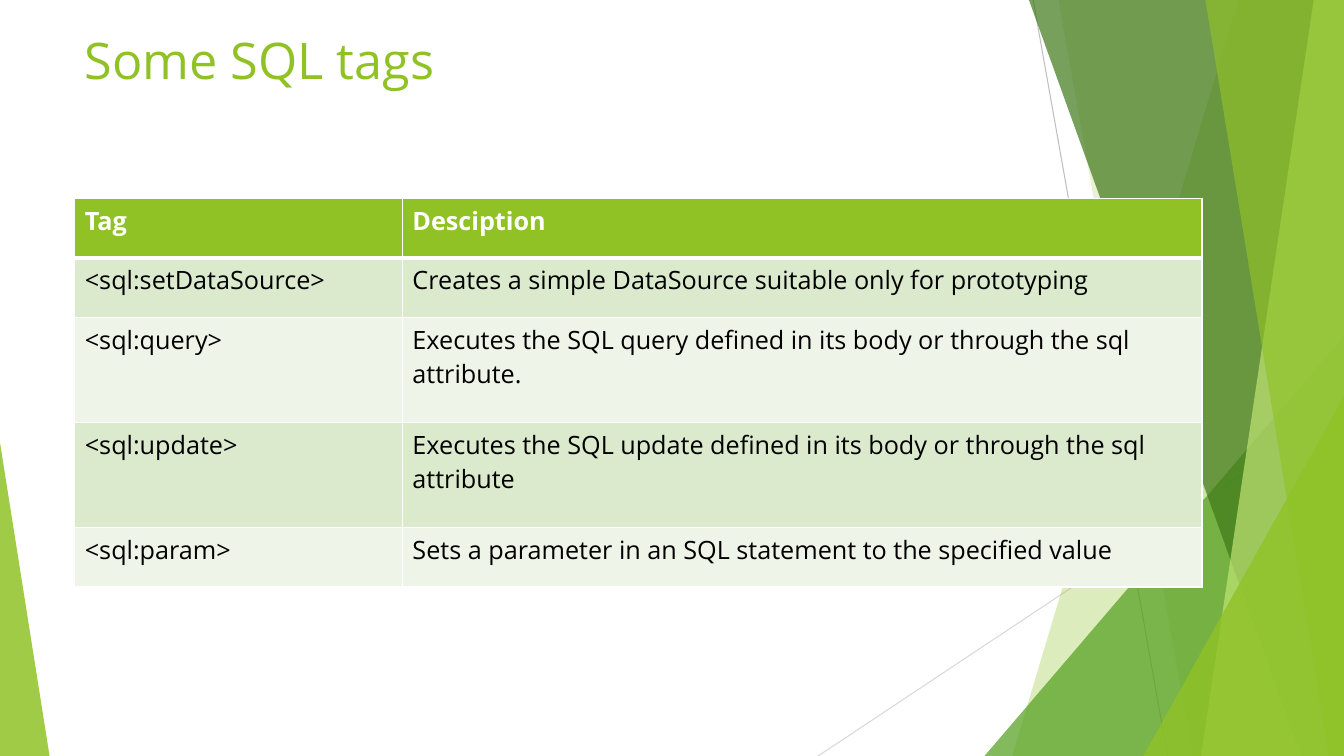
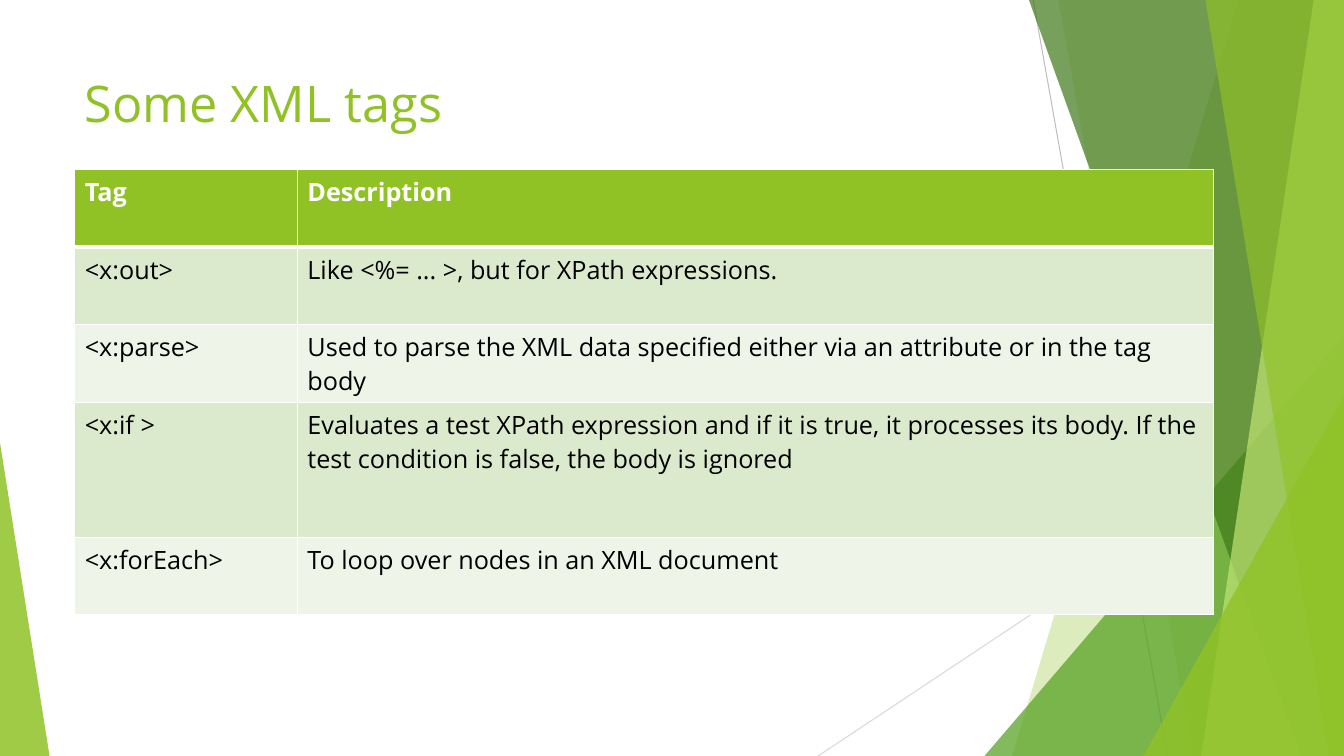
from dataclasses import dataclass

from pptx import Presentation
from pptx.dml.color import RGBColor
from pptx.enum.shapes import MSO_CONNECTOR as Connector, MSO_SHAPE as Shape
from pptx.enum.text import MSO_ANCHOR as Anchor, PP_ALIGN as Align
from pptx.oxml.ns import qn
from pptx.oxml.xmlchemy import OxmlElement
from pptx.util import Inches, Pt

WHITE = RGBColor(0xFF, 0xFF, 0xFF)
BLACK = RGBColor(0x00, 0x00, 0x00)
LIME = RGBColor(0x90, 0xC2, 0x26)
GREEN = RGBColor(0x54, 0xA0, 0x21)
FOREST = RGBColor(0x3F, 0x78, 0x19)
PALE_LIME = RGBColor(0xC0, 0xE4, 0x74)
BAND_DARK = RGBColor(0xDB, 0xE9, 0xCD)
BAND_LIGHT = RGBColor(0xEE, 0xF4, 0xE8)
GREY = RGBColor(0xBF, 0xBF, 0xBF)
LIGHT_GREY = RGBColor(0xD9, 0xD9, 0xD9)

FONT = "Open Sans"
COLUMNS, ROWS = 160, 90
CELL = Inches(1) / 12


def grid(cells):
    return round(cells * CELL)


@dataclass
class Box:
    left: float
    top: float
    width: float
    height: float

    def emu(self):
        return [grid(v) for v in (self.left, self.top, self.width, self.height)]

    def point(self, x, y):
        return grid(self.left + x), grid(self.top + y)

    def inner(self, x, y, width, height):
        return Box(self.left + x, self.top + y, width, height)


PAGE = Box(0, 0, COLUMNS, ROWS)


def write(frame, text, size=18, color=BLACK, bold=False, align=Align.LEFT):
    frame.word_wrap = True
    frame.vertical_anchor = Anchor.TOP
    paragraph = frame.paragraphs[0]
    paragraph.alignment = align
    run = paragraph.add_run()
    run.text = text
    font = run.font
    font.name, font.size, font.bold = FONT, Pt(size), bold
    font.color.rgb = color


def paint(shape, color, opacity):
    shape.shadow.inherit = False
    shape.line.fill.background()
    shape.fill.solid()
    shape.fill.fore_color.rgb = color
    alpha = OxmlElement("a:alpha")
    alpha.set("val", str(opacity * 1000))
    next(shape.element.spPr.iter(qn("a:srgbClr"))).append(alpha)


def add_ray(slide, box, start, end, color):
    ray = slide.shapes.add_connector(
        Connector.STRAIGHT, *box.point(*start), *box.point(*end))
    ray.line.color.rgb = color
    ray.line.width = Pt(0.75)
    ray._element.spPr.append(OxmlElement("a:effectLst"))


def add_blade(slide, box, top_x, bottom_x, color, opacity):
    builder = slide.shapes.build_freeform(*box.point(top_x, 0))
    corners = ((box.width, 0), (box.width, box.height), (bottom_x, box.height))
    builder.add_line_segments([box.point(*corner) for corner in corners])
    paint(builder.convert_to_shape(), color, opacity)


def add_corner(slide, box, peak, color, opacity):
    corner = slide.shapes.add_shape(Shape.ISOSCELES_TRIANGLE, *box.emu())
    corner.adjustments[0] = peak
    paint(corner, color, opacity)


def add_right_corner(slide, box, x, y, color, opacity):
    corner_box = box.inner(x, y, box.width - x, box.height - y)
    add_corner(slide, corner_box, 1, color, opacity)


def add_facets(slide, box):
    add_ray(slide, box, (123, 0), (139, box.height), GREY)
    add_ray(slide, box, (box.width, 48.4), (97.4, box.height), LIGHT_GREY)
    add_blade(slide, box, 147.4, 120.5, LIME, 30)
    add_blade(slide, box, 126, 142, LIME, 20)
    add_right_corner(slide, box, 117.2, 40, GREEN, 72)
    add_blade(slide, box, 122.5, 154.9, FOREST, 70)
    add_blade(slide, box, 156.4, 143, PALE_LIME, 70)
    add_blade(slide, box, 143.5, 158.2, LIME, 65)
    add_right_corner(slide, box, 136.1, 47.2, LIME, 80)
    add_corner(slide, box.inner(0, 52.7, 5.9, box.height - 52.7), 0, LIME, 85)


def add_title(slide, box, text):
    title = slide.shapes.add_textbox(*box.emu())
    write(title.text_frame, text, size=36, color=LIME)


def set_borders(cell, top=1, bottom=1):
    properties = cell._tc.get_or_add_tcPr()
    widths = {"L": 1, "R": 1, "T": top, "B": bottom}
    for position, (side, width) in enumerate(widths.items()):
        border = OxmlElement(f"a:ln{side}")
        border.set("w", str(Pt(width)))
        fill = OxmlElement("a:solidFill")
        color = OxmlElement("a:srgbClr")
        color.set("val", str(WHITE))
        fill.append(color)
        border.append(fill)
        properties.insert(position, border)


def split(total, shares):
    return [grid(total * share / sum(shares)) for share in shares]


def add_tag_table(slide, box, entries, column_shares, row_shares):
    tags = slide.shapes.add_table(
        len(entries), len(column_shares), *box.emu()).table
    tags.horz_banding = False
    for column, width in zip(tags.columns, split(box.width, column_shares)):
        column.width = width
    for row, height in zip(tags.rows, split(box.height, row_shares)):
        row.height = height
    for row, entry in enumerate(entries):
        heading = row == 0
        band = LIME if heading else BAND_DARK if row % 2 else BAND_LIGHT
        for column, text in enumerate(entry):
            cell = tags.cell(row, column)
            cell.fill.solid()
            cell.fill.fore_color.rgb = band
            set_borders(cell, top=3 if row == 1 else 1, bottom=3 if heading else 1)
            write(cell.text_frame, text, bold=heading,
                  color=WHITE if heading else BLACK)


def add_tag_slide(deck, title, title_box, table_box, **contents):
    slide = deck.slides.add_slide(deck.slide_layouts[6])
    add_facets(slide, PAGE)
    add_title(slide, title_box, title)
    add_tag_table(slide, table_box, **contents)


def main():
    deck = Presentation()
    deck.slide_width, deck.slide_height = grid(COLUMNS), grid(ROWS)
    margin, title_width = 8.9, 112.8
    add_tag_slide(
        deck, "Some SQL tags",
        Box(margin, 2.9, title_width, 10),
        Box(margin, 23.6, 134.2, 46.3),
        entries=[
            ("Tag", "Desciption"),
            ("<sql:setDataSource>",
             "Creates a simple DataSource suitable only for prototyping"),
            ("<sql:query>",
             "Executes the SQL query defined in its body or through the sql attribute."),
            ("<sql:update>",
             "Executes the SQL update defined in its body or through the sql attribute"),
            ("<sql:param>",
             "Sets a parameter in an SQL statement to the specified value"),
        ],
        column_shares=(39, 95.2),
        row_shares=(7.1, 7.1, 12.5, 12.5, 7.1),
    )
    add_tag_slide(
        deck, "Some XML tags",
        Box(margin, 8, title_width, 17.3),
        Box(margin, 20.2, 135.6, 53),
        entries=[
            ("Tag", "Description"),
            ("<x:out>", "Like <%= ... >, but for XPath expressions."),
            ("<x:parse>",
             "Used to parse the XML data specified either via an attribute "
             "or in the tag body"),
            ("<x:if >",
             "Evaluates a test XPath expression and if it is true, it processes "
             "its body. If the test condition is false, the body is ignored"),
            ("<x:forEach>", "To loop over nodes in an XML document"),
        ],
        column_shares=(26.5, 109.1),
        row_shares=(9.2, 9.2, 9.2, 16, 9.2),
    )
    deck.save("out.pptx")


if __name__ == "__main__":
    main()
